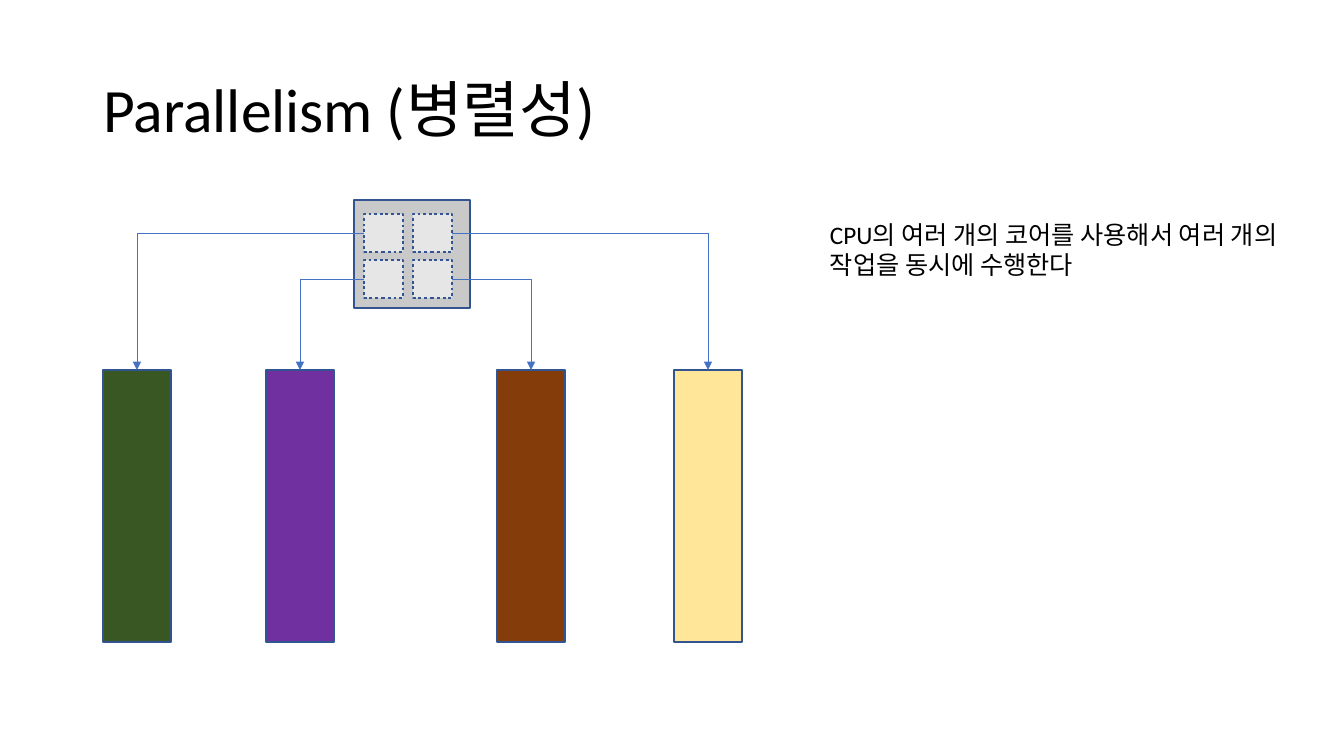
"""Build the Parallelism slide: four CPU cores, each feeding its own task bar."""
from dataclasses import dataclass
from itertools import product

from lxml import etree
from pptx import Presentation
from pptx.dml.color import RGBColor
from pptx.enum.dml import MSO_LINE
from pptx.enum.shapes import MSO_CONNECTOR, MSO_SHAPE
from pptx.enum.text import MSO_ANCHOR, MSO_AUTO_SIZE, PP_ALIGN
from pptx.oxml.ns import qn
from pptx.util import Pt

RECTANGLE = MSO_SHAPE.RECTANGLE
ELBOW = MSO_CONNECTOR.ELBOW
DOTTED = MSO_LINE.ROUND_DOT
LEFT = PP_ALIGN.LEFT
MIDDLE, TOP = MSO_ANCHOR.MIDDLE, MSO_ANCHOR.TOP
FIT_SHAPE, NO_FIT = MSO_AUTO_SIZE.SHAPE_TO_FIT_TEXT, MSO_AUTO_SIZE.NONE
TOP_SITE, LEFT_SITE, RIGHT_SITE = 0, 1, 3
SCALE = 12192000 / 1344


@dataclass(frozen=True)
class Theme:
    font: str = "Calibri"
    title_size: int = 44
    note_size: int = 18
    ink: str = "000000"
    outline: str = "325491"
    arrow: str = "4472C4"
    chip: str = "C9C9C9"
    core: str = "E7E6E6"
    tasks: tuple = ("385723", "7030A0", "843C0B", "FFE699")


theme = Theme()


def emu(*pixels):
    return [round(value * SCALE) for value in pixels]


def add_block(bounds, color, line_format):
    block = slide.shapes.add_shape(RECTANGLE, *emu(*bounds))
    block.shadow.inherit = False
    block.fill.solid()
    block.fill.fore_color.rgb = RGBColor.from_string(color)
    block.line.color.rgb = RGBColor.from_string(theme.outline)
    for name, value in line_format.items():
        setattr(block.line, name, value)
    return block


deck = Presentation()
deck.slide_width, deck.slide_height = emu(1344, 756)
slide = deck.slides.add_slide(deck.slide_layouts[5])

title = slide.shapes.title
title.left, title.top, title.width, title.height = emu(93, 40, 1159, 146)
note = slide.shapes.add_textbox(*emu(820, 214, 499, 72))

texts = [
    (title, "Parallelism (병렬성)", theme.title_size, 0.9,
     {"word_wrap": True, "auto_size": NO_FIT, "vertical_anchor": MIDDLE}),
    (note, "CPU의 여러 개의 코어를 사용해서 여러 개의 작업을 동시에 수행한다", theme.note_size, 1.0,
     {"word_wrap": True, "auto_size": FIT_SHAPE, "vertical_anchor": TOP}),
]
for box, words, size, spacing, frame_format in texts:
    for name, value in frame_format.items():
        setattr(box.text_frame, name, value)
    para = box.text_frame.paragraphs[0]
    para.alignment = LEFT
    para.line_spacing = spacing
    span = para.add_run()
    span.text = words
    for name, value in {"name": theme.font, "size": Pt(size)}.items():
        setattr(span.font, name, value)
    span.font.color.rgb = RGBColor.from_string(theme.ink)

solid_line = {"width": Pt(1)}
dotted_line = {"width": Pt(2), "dash_style": DOTTED}

add_block((354, 200, 116, 108), theme.chip, solid_line)
tasks = [
    add_block((left, 370, 68, 272), color, solid_line)
    for left, color in zip((103, 266, 497, 674), theme.tasks)
]
cores = [
    add_block((364 + 49 * column, 214 + 46 * row, 39, 38), theme.core, dotted_line)
    for row, column in product(range(2), repeat=2)
]
top_left, top_right, bottom_left, bottom_right = cores

exits = [
    (top_left, LEFT_SITE),
    (bottom_left, LEFT_SITE),
    (bottom_right, RIGHT_SITE),
    (top_right, RIGHT_SITE),
]
for (core, site), task in zip(exits, tasks):
    arrow = slide.shapes.add_connector(ELBOW, 0, 0, 0, 0)
    arrow.begin_connect(core, site)
    arrow.end_connect(task, TOP_SITE)
    arrow.line.color.rgb = RGBColor.from_string(theme.arrow)
    arrow.line.width = Pt(0.5)
    properties = arrow._element.spPr
    properties.find(qn("a:prstGeom")).set("prst", "bentConnector2")
    etree.SubElement(properties.find(qn("a:ln")), qn("a:tailEnd"), type="triangle")
    etree.SubElement(properties, qn("a:effectLst"))

deck.save("out.pptx")
